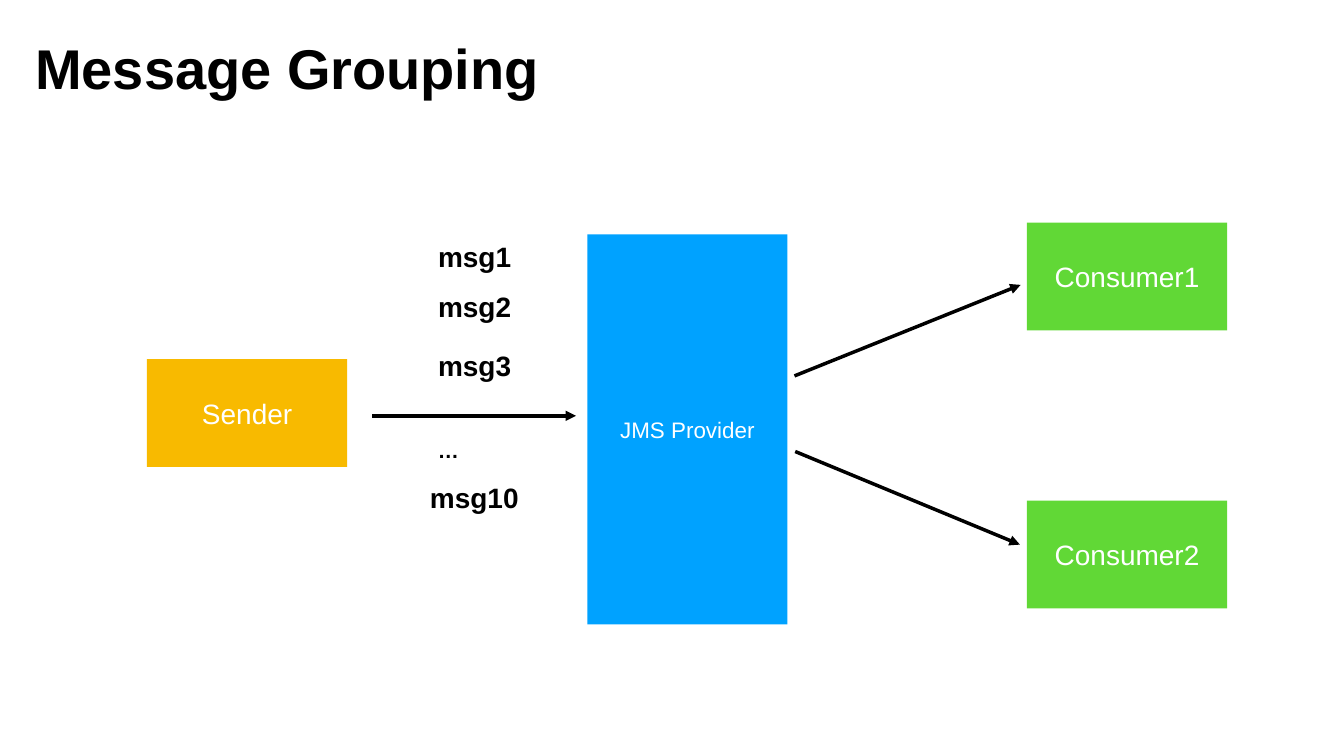
from pptx import Presentation
from pptx.dml.color import RGBColor
from pptx.enum.shapes import MSO_CONNECTOR, MSO_SHAPE
from pptx.enum.text import MSO_ANCHOR, MSO_AUTO_SIZE, PP_ALIGN
from pptx.oxml.ns import qn
from pptx.util import Pt
from lxml import etree

RECT = MSO_SHAPE.RECTANGLE
LINE = MSO_CONNECTOR.STRAIGHT
MIDDLE = MSO_ANCHOR.MIDDLE
CENTER = PP_ALIGN.CENTER
GROW = MSO_AUTO_SIZE.SHAPE_TO_FIT_TEXT

COLORS = {
    "black": "000000",
    "white": "FFFFFF",
    "blue": "00A2FF",
    "green": "61D836",
    "amber": "F8BA00",
}


class Sketch:
    """Draws boxes, labels and arrows on one slide in a shared style."""

    def __init__(self, slide):
        self.slide = slide
        self.font = "Arial"
        self.inset = 4
        self.weight = 5

    def color(self, name):
        return RGBColor.from_string(COLORS[name])

    def words(self, frame, text, size, color, bold, inset):
        frame.vertical_anchor = MIDDLE
        frame.margin_left = frame.margin_right = Pt(inset)
        frame.margin_top = frame.margin_bottom = Pt(inset)
        para = frame.paragraphs[0]
        para.alignment = CENTER
        run = para.add_run()
        run.text = text
        run.font.name = self.font
        run.font.size = Pt(size)
        run.font.bold = bold
        run.font.color.rgb = self.color(color)

    def box(self, text, left, top, fill, height=154, size=40):
        shape = self.slide.shapes.add_shape(
            RECT, Pt(left), Pt(top), Pt(286), Pt(height))
        shape.shadow.inherit = False
        shape.fill.solid()
        shape.fill.fore_color.rgb = self.color(fill)
        shape.line.fill.background()
        shape.text_frame.word_wrap = True
        self.words(shape.text_frame, text, size, "white", False, 0)

    def label(self, text, left, top, width, height=56, size=40):
        frame = self.slide.shapes.add_textbox(
            Pt(left), Pt(top), Pt(width), Pt(height)).text_frame
        frame.word_wrap = False
        frame.auto_size = GROW
        self.words(frame, text, size, "black", True, self.inset)

    def arrow(self, start, end):
        link = self.slide.shapes.add_connector(
            LINE, *[Pt(value) for value in start + end])
        link.line.color.rgb = self.color("black")
        link.line.width = Pt(self.weight)
        props = link._element.spPr
        head = etree.SubElement(props.find(qn("a:ln")), qn("a:tailEnd"))
        head.set("type", "triangle")
        etree.SubElement(props, qn("a:effectLst"))


def main():
    deck = Presentation()
    deck.slide_width, deck.slide_height = Pt(1920), Pt(1080)
    sketch = Sketch(deck.slides.add_slide(deck.slide_layouts[6]))

    sketch.label("Message Grouping", 46, 45, 729, 103, 80)

    sketch.box("JMS Provider", 839, 335, "blue", 557, 32)
    sketch.box("Consumer1", 1467, 318, "green")
    sketch.box("Consumer2", 1467, 715, "green")
    sketch.box("Sender", 210, 513, "amber")

    sketch.arrow((1135, 537), (1458, 407))
    sketch.arrow((532, 594), (823, 594))
    sketch.arrow((1136, 645), (1457, 778))

    for text, top in (("msg1", 338), ("msg2", 410), ("msg3", 494)):
        sketch.label(text, 621, top, 114)
    sketch.label("…", 621, 621, 39, 44, 30)
    sketch.label("msg10", 610, 683, 135)

    deck.save("out.pptx")


if __name__ == "__main__":
    main()
